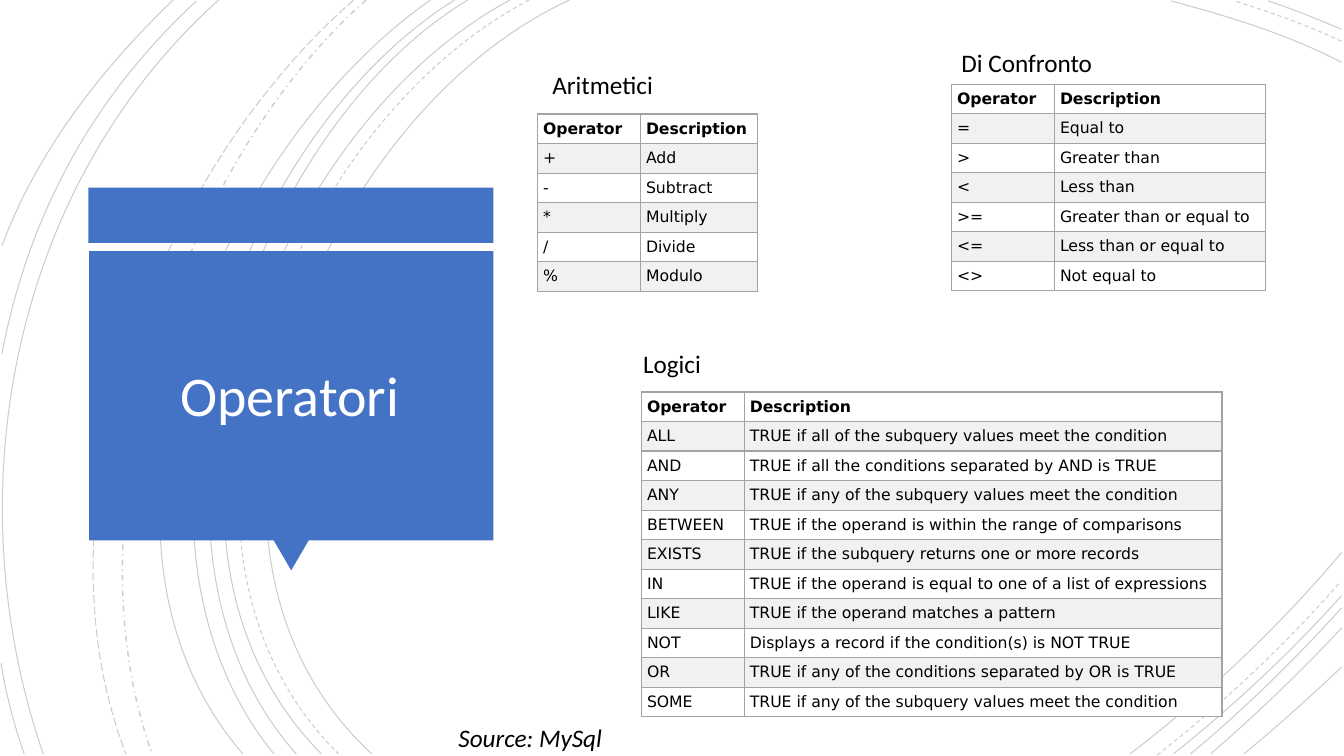
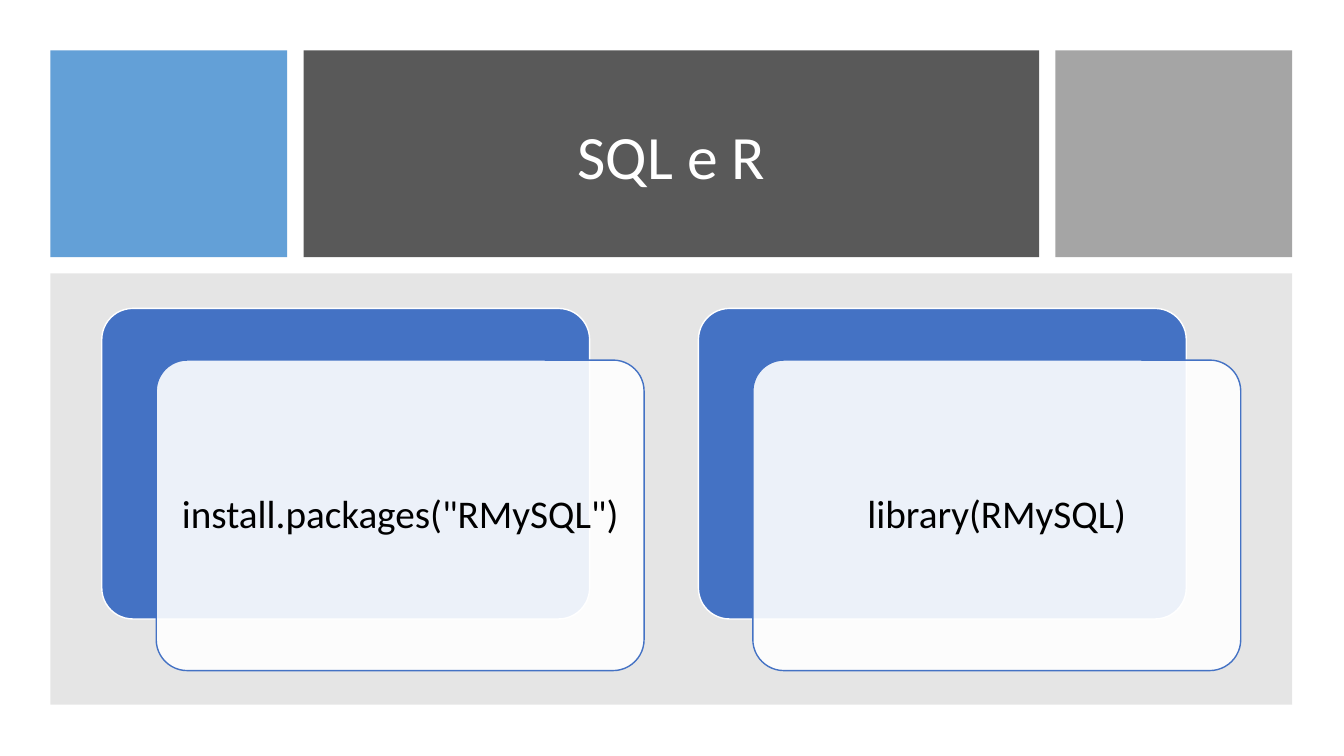
"""Build two slides: the SQL operators and the use of SQL from R."""
from lxml.etree import SubElement
from pptx import Presentation
from pptx.dml.color import RGBColor
from pptx.enum.dml import MSO_LINE
from pptx.enum.shapes import MSO_SHAPE
from pptx.enum.text import MSO_ANCHOR, MSO_AUTO_SIZE, PP_ALIGN
from pptx.oxml import parse_xml
from pptx.oxml.ns import nsdecls, qn
from pptx.util import Pt

COLOURS = {
    "blue": "4472C4", "sky": "5B9BD5", "charcoal": "595959", "silver": "A5A5A5",
    "grey": "808080", "white": "FFFFFF", "black": "000000",
    "stripe": "F1F1F1", "border": "A3A3A3",
}
TITLE_FORMAT = {"align": PP_ALIGN.CENTER, "spacing": 0.9}


def paint(shape, fill=None, line=None, weight=1, opacity=100):
    shape.shadow.inherit = False
    if fill:
        shape.fill.solid()
        shape.fill.fore_color.rgb = RGBColor.from_string(COLOURS[fill])
    else:
        shape.fill.background()
    if line:
        shape.line.color.rgb = RGBColor.from_string(COLOURS[line])
        shape.line.width = Pt(weight)
    else:
        shape.line.fill.background()
    if opacity < 100:
        colour = shape._element.spPr.find(".//" + qn("a:srgbClr"))
        SubElement(colour, qn("a:alpha"), val=str(opacity * 1000))


def write(frame, text, size, colour="black", face="Calibri", align=None, spacing=None, **extras):
    frame.text = text
    paragraph = frame.paragraphs[0]
    paragraph.alignment = align
    paragraph.line_spacing = spacing
    font = paragraph.runs[0].font
    font.color.rgb = RGBColor.from_string(COLOURS[colour])
    for name, value in {"name": face, "size": Pt(size), **extras}.items():
        setattr(font, name, value)


deck = Presentation()
deck.slide_width, deck.slide_height = Pt(960), Pt(540)
title_only = deck.slide_layouts[5]

operators = deck.slides.add_slide(title_only)

ARCS = [
    (None, 0.75, [
        [(406.8, 0), (226.8, 82.8), (103, 388.8), (265.7, 538.6)],
        [(958.3, 44.6), (920.2, 24.5), (876.9, 11.5), (836.6, 0.7)],
        [(807.1, 538.6), (861.8, 496.8), (913.7, 447.8), (958.3, 394.6)],
        [(364.3, 0), (194.4, 91.4), (79.2, 386.6), (229.7, 538.6)],
        [(958.3, 20.9), (941, 13.7), (923.8, 6.5), (905.8, 0.7)],
        [(838.1, 538.6), (880.6, 504.7), (921.6, 466.6), (958.3, 425.5)],
        [(334.1, 0), (175.7, 95.8), (79.2, 389.5), (211.7, 538.6)],
        [(850.3, 538.6), (888.5, 506.9), (924.5, 471.6), (958.3, 434.2)],
        [(324.7, 0), (166.3, 99.4), (69.8, 383.8), (195.8, 538.6)],
        [(864.7, 538.6), (897.1, 510.5), (928.8, 480.2), (958.3, 448.6)],
        [(307.4, 0), (156.2, 105.8), (38.2, 380.9), (173.5, 538.6)],
        [(888.5, 538.6), (912.2, 519.1), (935.3, 498.2), (958.3, 476.6)],
        [(156.2, 0), (7.9, 133.2), (-33.1, 352.8), (31, 538.6)],
        [(140.4, 0.7), (66.2, 69.1), (20.2, 154.1), (1.4, 252.7)],
        [(0.7, 473.8), (4.3, 496.1), (10.1, 517.7), (17.3, 538.6)],
        [(123.8, 0), (72, 49.7), (26.6, 108), (1.4, 175.7)],
    ]),
    (MSO_LINE.DASH, 0.75, [
        [(378, 0), (205.2, 90), (88.6, 386.6), (241.9, 538.6)],
        [(958.3, 29.5), (933.8, 18), (907.2, 8.6), (882, 0.7)],
        [(826.6, 539.3), (873.4, 502.6), (918, 460.8), (957.6, 415.4)],
    ]),
    (MSO_LINE.DASH_DOT, 1, [[(261.4, 0), (126.7, 119.5), (46.8, 366.5), (108.7, 538.6)]]),
    (MSO_LINE.LONG_DASH, 0.75, [[(252.7, 0), (113, 121.7), (20.9, 359.3), (90, 538.6)]]),
]
arc_group = operators.shapes.add_group_shape()
for dash, weight, curves in ARCS:
    for curve in curves:
        start, *controls = [(Pt(x), Pt(y)) for x, y in curve]
        builder = arc_group.shapes.build_freeform(*start)
        builder.add_line_segments(controls, close=False)
        arc = builder.convert_to_shape()
        outline = arc._element.find(".//" + qn("a:path"))
        segments = outline.findall(qn("a:lnTo"))
        bezier = SubElement(outline, qn("a:cubicBezTo"))
        for segment in segments:
            bezier.append(segment[0])
            outline.remove(segment)
        paint(arc, line="black", weight=weight, opacity=20)
        if dash:
            arc.line.dash_style = dash

callout = operators.shapes.add_group_shape()
for preset, box, turn in [
    (MSO_SHAPE.RECTANGLE, (63.2, 134, 289.2, 39.6), 0),
    (MSO_SHAPE.ISOSCELES_TRIANGLE, (195.4, 385.8, 25.2, 21.6), 180),
    (MSO_SHAPE.RECTANGLE, (63.6, 179.4, 288.8, 206.6), 0),
]:
    part = callout.shapes.add_shape(preset, *map(Pt, box))
    part.rotation = turn
    paint(part, "blue")

TABLES = [
    ((384, 81.5), (73.5, 83.5), [
        ("Operator", "Description"),
        ("+", "Add"),
        ("-", "Subtract"),
        ("*", "Multiply"),
        ("/", "Divide"),
        ("%", "Modulo"),
    ]),
    ((679.7, 60.1), (73.5, 150.5), [
        ("Operator", "Description"),
        ("=", "Equal to"),
        (">", "Greater than"),
        ("<", "Less than"),
        (">=", "Greater than or equal to"),
        ("<=", "Less than or equal to"),
        ("<>", "Not equal to"),
    ]),
    ((458.2, 280), (73.5, 341.2), [
        ("Operator", "Description"),
        ("ALL", "TRUE if all of the subquery values meet the condition"),
        ("AND", "TRUE if all the conditions separated by AND is TRUE"),
        ("ANY", "TRUE if any of the subquery values meet the condition"),
        ("BETWEEN", "TRUE if the operand is within the range of comparisons"),
        ("EXISTS", "TRUE if the subquery returns one or more records"),
        ("IN", "TRUE if the operand is equal to one of a list of expressions"),
        ("LIKE", "TRUE if the operand matches a pattern"),
        ("NOT", "Displays a record if the condition(s) is NOT TRUE"),
        ("OR", "TRUE if any of the conditions separated by OR is TRUE"),
        ("SOME", "TRUE if any of the subquery values meet the condition"),
    ]),
]
ROW_HEIGHT = 21.1
CELL_MARGINS = {f"margin_{side}": Pt(4) for side in ("left", "top", "right", "bottom")}
for corner, widths, entries in TABLES:
    extent = (sum(widths), ROW_HEIGHT * len(entries))
    grid = operators.shapes.add_table(len(entries), 2, *map(Pt, corner + extent)).table
    grid.horz_banding = False
    for column, width in zip(grid.columns, widths):
        column.width = Pt(width)
    for index, entry in enumerate(entries):
        grid.rows[index].height = Pt(ROW_HEIGHT)
        for cell, text in zip(grid.rows[index].cells, entry):
            write(cell.text_frame, text, 11.2, face="DejaVu Sans", bold=index == 0)
            for name, value in CELL_MARGINS.items():
                setattr(cell, name, value)
            cell.fill.solid()
            shade = COLOURS["stripe" if index % 2 else "white"]
            cell.fill.fore_color.rgb = RGBColor.from_string(shade)
            for position, edge in enumerate(("lnL", "lnR", "lnT", "lnB")):
                cell._tc.tcPr.insert(position, parse_xml(
                    f'<a:{edge} {nsdecls("a")} w="{Pt(1)}"><a:solidFill>'
                    f'<a:srgbClr val="{COLOURS["border"]}"/></a:solidFill></a:{edge}>'))

for text, box, italic in [
    ("Aritmetici", (387.4, 46.1, 87.1, 28.8), False),
    ("Di Confronto", (679.7, 30.2, 108.7, 28.8), False),
    ("Logici", (452.2, 245.5, 56.2, 28.8), False),
    ("Source: MySql", (320.4, 512.6, 119.5, 28.8), True),
]:
    caption = operators.shapes.add_textbox(*map(Pt, box)).text_frame
    caption.word_wrap = False
    caption.auto_size = MSO_AUTO_SIZE.SHAPE_TO_FIT_TEXT
    write(caption, text, 18, italic=italic)

sql_and_r = deck.slides.add_slide(title_only)

MARGIN, GAP, TILE_HEIGHT = 36, 11.6, 147.6
tile_left = MARGIN
for width, colour, opacity in [(169.2, "sky", 95), (525.4, "charcoal", 100), (169.2, "silver", 100)]:
    tile = sql_and_r.shapes.add_shape(
        MSO_SHAPE.RECTANGLE, Pt(tile_left), Pt(MARGIN), Pt(width), Pt(TILE_HEIGHT))
    paint(tile, colour, opacity=opacity)
    tile_left += width + GAP
panel = sql_and_r.shapes.add_shape(
    MSO_SHAPE.RECTANGLE, Pt(MARGIN), Pt(MARGIN + TILE_HEIGHT + GAP), Pt(887), Pt(308.2))
paint(panel, "grey", opacity=20)

CARD_LEFT, CARD_TOP, CARD_STEP = 72.7, 220.3, 426.2
CARD_SIZE = (348.5, 221.8)
FRONT_SHIFT = (38.9, 36.9)
CARD_FORMAT = {f"margin_{side}": Pt(8.4) for side in ("left", "top", "right", "bottom")}
CARD_FORMAT.update(word_wrap=True, vertical_anchor=MSO_ANCHOR.MIDDLE)
for index, command in enumerate(['install.packages("RMySQL")', "library(RMySQL)"]):
    left = CARD_LEFT + index * CARD_STEP
    card = sql_and_r.shapes.add_group_shape()
    for shift, look in [
        ((0, 0), {"fill": "blue", "line": "white"}),
        (FRONT_SHIFT, {"fill": "white", "line": "blue", "opacity": 90}),
    ]:
        face = card.shapes.add_shape(
            MSO_SHAPE.ROUNDED_RECTANGLE, Pt(left + shift[0]), Pt(CARD_TOP + shift[1]),
            *map(Pt, CARD_SIZE))
        face.adjustments[0] = 0.1
        paint(face, **look)
    for name, value in CARD_FORMAT.items():
        setattr(face.text_frame, name, value)
    write(face.text_frame, command, 28, align=PP_ALIGN.CENTER, spacing=0.9)

for slide, heading, size, box in [
    (operators, "Operatori", 40, (71.3, 190.1, 271.4, 188.6)),
    (sql_and_r, "SQL e R", 44, (239.8, 57.6, 479.5, 112.3)),
]:
    title = slide.shapes.title
    title.left, title.top, title.width, title.height = map(Pt, box)
    title.text_frame.vertical_anchor = MSO_ANCHOR.MIDDLE
    write(title.text_frame, heading, size, "white", **TITLE_FORMAT)
    slide.shapes._spTree.append(title._element)

deck.save("out.pptx")
